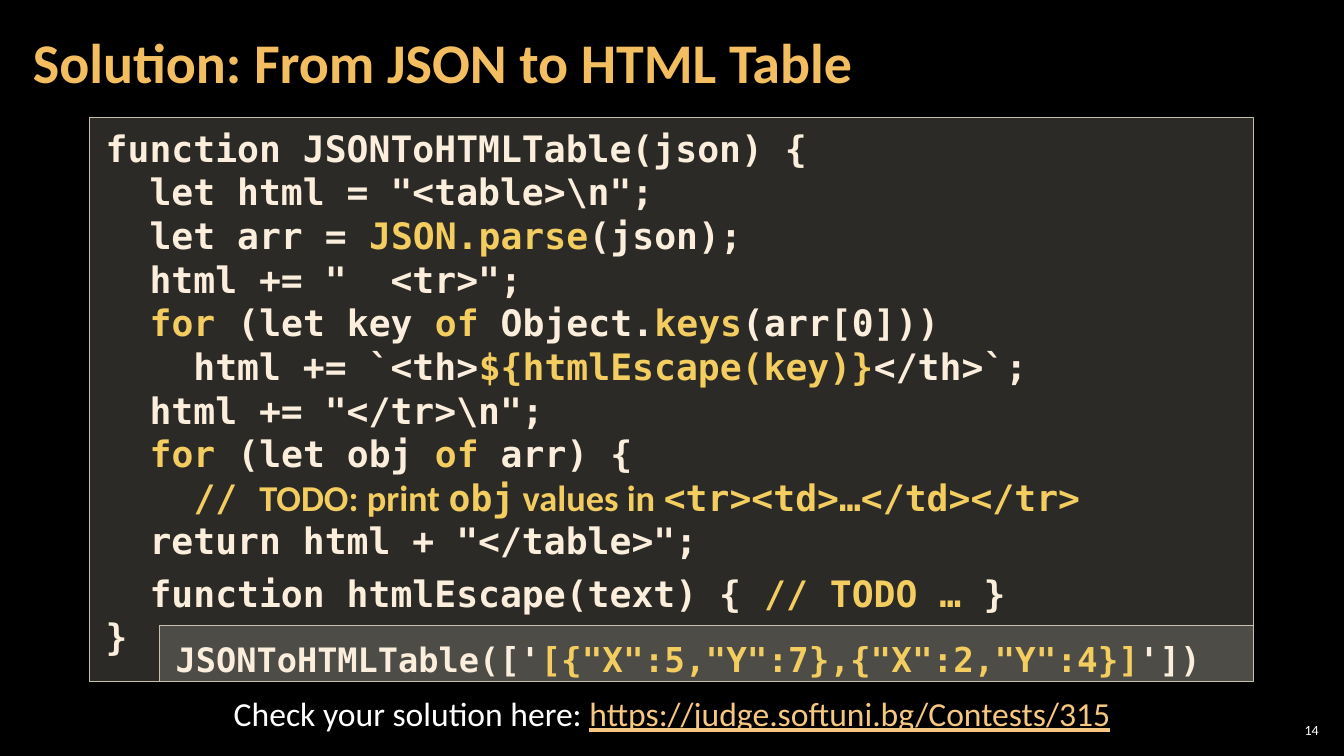
from lxml import etree
from pptx import Presentation
from pptx.dml.color import RGBColor
from pptx.enum import shapes, text
from pptx.oxml import ns
from pptx.util import Pt

SANS, MONO = "Calibri", "DejaVu Sans Mono"
WHITE, CREAM, GOLD = "FFFFFF", "FBEEDC", "F3CD60"
PANEL, EDGE = "D9D5C7", "C7BFAC"

TITLE = "Solution: From JSON to HTML Table"
# In code, | switches the accent colour on and off, ~ the sans font.
CODE = [
    'function JSONToHTMLTable(json) {',
    '  let html = "<table>\\n";',
    '  let arr = |JSON.parse|(json);',
    '  html += "  <tr>";',
    '  |for| (let key |of| Object.|keys|(arr[0]))',
    '    html += `<th>|${htmlEscape(key)}|</th>`;',
    '  html += "</tr>\\n";',
    '  |for| (let obj |of| arr) {',
    '    |// ~TODO: print ~obj~ values in ~<tr><td>…</td></tr>|',
    '  return html + "</table>";',
    '  function htmlEscape(text) { |// TODO …| }',
    '}',
]
GAP_LINE = 10
CALL = [("JSONToHTMLTable(", 24), ("['|[{\"X\":5,\"Y\":7},{\"X\":2,\"Y\":4}]|'])", 24.5)]
CHECK, LINK = "Check your solution here: ", "https://judge.softuni.bg/Contests/315"
PAGE = "14"


def paint(hue):
    return RGBColor.from_string(hue)


def write(para, words, size=24, face=SANS, hue=WHITE, bold=False, line=False):
    run = para.add_run()
    run.text = words
    font = run.font
    font.size, font.name, font.bold, font.underline = Pt(size), face, bold, line
    font.color.rgb = paint(hue)


def write_code(para, words, size):
    """Write code, with the accent and font marks turned into runs."""
    for i, part in enumerate(words.split("|")):
        for j, bit in enumerate(part.split("~")):
            if bit:
                write(para, bit, size, SANS if j % 2 else MONO,
                      GOLD if i % 2 else CREAM, bold=True)


def frame(shape, side, top, anchor=text.MSO_ANCHOR.TOP):
    """Set insets, wrap and anchor; return the text frame."""
    tf = shape.text_frame
    tf.word_wrap = True
    tf.auto_size = text.MSO_AUTO_SIZE.NONE
    tf.vertical_anchor = anchor
    tf.margin_left = tf.margin_right = Pt(side)
    tf.margin_top = tf.margin_bottom = Pt(top)
    return tf


def add_panel(slide, box, top):
    """Add a translucent code panel; return its text frame."""
    shape = slide.shapes.add_shape(shapes.MSO_SHAPE.RECTANGLE, *map(Pt, box))
    shape.shadow.inherit = False
    shape.fill.solid()
    shape.fill.fore_color.rgb = paint(PANEL)
    hue = shape.fill._xPr.find(".//" + ns.qn("a:srgbClr"))
    etree.SubElement(hue, ns.qn("a:alpha")).set("val", "20000")
    shape.line.color.rgb = paint(EDGE)
    shape.line.width = Pt(1)
    return frame(shape, 11.5, top)


def main():
    deck = Presentation()
    deck.slide_width, deck.slide_height = Pt(960), Pt(540)
    slide = deck.slides.add_slide(deck.slide_layouts[5])
    slide.background.fill.solid()
    slide.background.fill.fore_color.rgb = paint("000000")

    title = slide.shapes.title
    title.left, title.top, title.width, title.height = map(Pt, (15, 3, 754, 87))
    para = frame(title, 8.5, 3, text.MSO_ANCHOR.MIDDLE).paragraphs[0]
    para.alignment, para.line_spacing = text.PP_ALIGN.LEFT, 0.9
    write(para, TITLE, 40, hue="F3BE60", bold=True)

    page = slide.shapes.add_textbox(*map(Pt, (911, 514, 34, 15)))
    para = frame(page, 3, 3, text.MSO_ANCHOR.MIDDLE).paragraphs[0]
    para.alignment = text.PP_ALIGN.RIGHT
    write(para, PAGE, 10)

    check = slide.shapes.add_textbox(*map(Pt, (64, 491.5, 832, 36)))
    para = frame(check, 7.2, 3.6).paragraphs[0]
    para.alignment = text.PP_ALIGN.CENTER
    write(para, CHECK)
    write(para, LINK, hue="F6C781", line=True)

    tf = add_panel(slide, (64, 84, 831.5, 403), 5.8)
    for i, words in enumerate(CODE):
        para = tf.paragraphs[0] if i == 0 else tf.add_paragraph()
        para.alignment = text.PP_ALIGN.LEFT
        if i == GAP_LINE:
            para.space_before = Pt(6)
        write_code(para, words, 26)

    para = add_panel(slide, (114, 447, 781.5, 40), 2.9).paragraphs[0]
    para.alignment, para.line_spacing = text.PP_ALIGN.LEFT, 1.2
    for words, size in CALL:
        write_code(para, words, size)

    deck.save("out.pptx")


if __name__ == "__main__":
    main()
